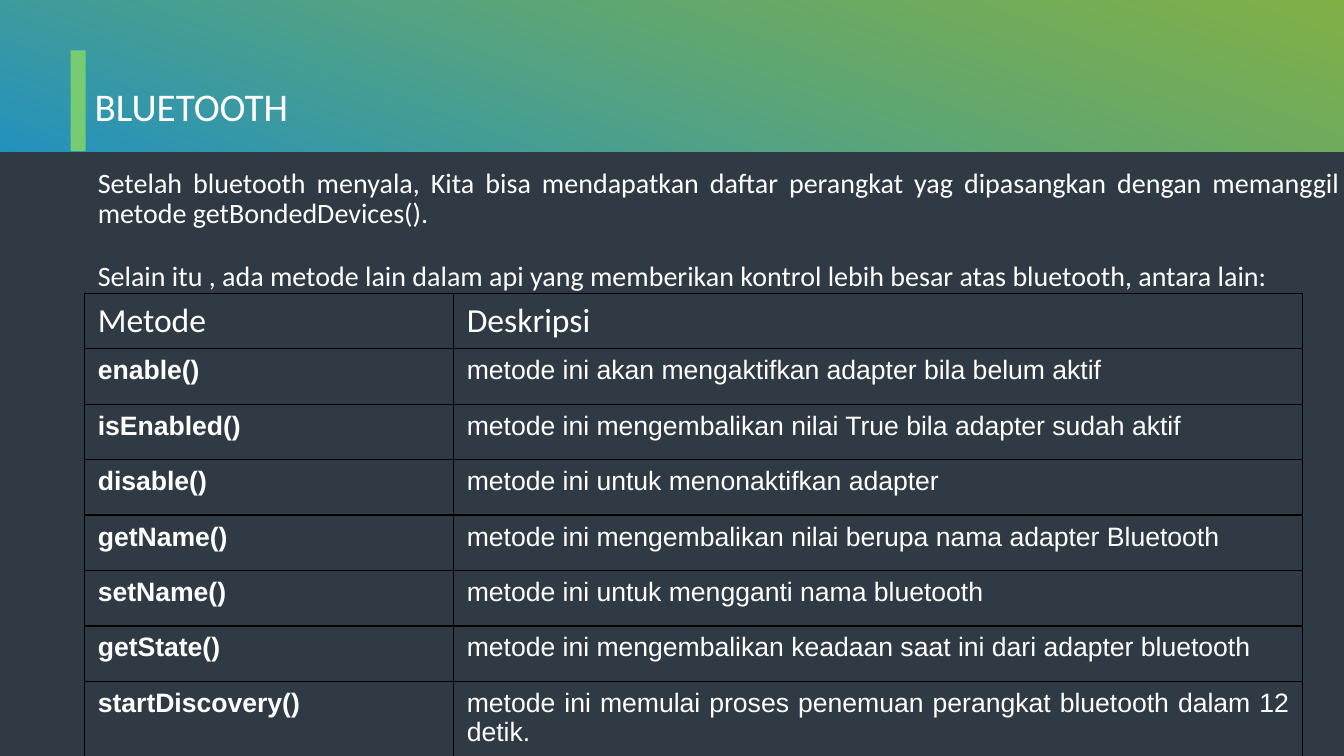
from dataclasses import dataclass

from pptx import Presentation
from pptx.dml.color import RGBColor
from pptx.enum.shapes import MSO_SHAPE
from pptx.enum.text import PP_ALIGN
from pptx.oxml import parse_xml
from pptx.oxml.ns import nsdecls, qn
from pptx.shapes.autoshape import Shape
from pptx.slide import Slide
from pptx.table import _Cell
from pptx.text.text import _Paragraph
from pptx.util import Inches, Pt

WHITE = RGBColor(0xFF, 0xFF, 0xFF)
SLATE = RGBColor(0x30, 0x3A, 0x44)
LIME = RGBColor(0xA5, 0xE4, 0x49)
BLUE = RGBColor(0x23, 0x9D, 0xCE)
GREEN = RGBColor(0x77, 0xCC, 0x71)
BLACK = RGBColor(0, 0, 0)


@dataclass(frozen=True)
class Area:
    left: float
    top: float
    width: float
    height: float

    def lengths(self) -> list[Inches]:
        return [Inches(value) for value in (self.left, self.top, self.width, self.height)]


@dataclass(frozen=True)
class TextStyle:
    size: float
    font: str = "Calibri"
    bold: bool = False
    align: PP_ALIGN = PP_ALIGN.LEFT


@dataclass(frozen=True)
class Method:
    name: str
    description: str


TITLE_STYLE = TextStyle(28)
BODY_STYLE = TextStyle(20, align=PP_ALIGN.JUSTIFY)
HEADING_STYLE = TextStyle(24)
NAME_STYLE = TextStyle(19, "Arial", bold=True)
DESCRIPTION_STYLE = TextStyle(19, "Arial", align=PP_ALIGN.JUSTIFY)

INTRODUCTION = [
    "Setelah bluetooth menyala, Kita bisa mendapatkan daftar perangkat yag "
    "dipasangkan dengan memanggil metode getBondedDevices().",
    "Selain itu , ada metode lain dalam api yang memberikan kontrol lebih besar "
    "atas bluetooth, antara lain:",
]
HEADING = Method("Metode", "Deskripsi")
METHODS = [
    Method("enable()", "metode ini akan mengaktifkan adapter bila belum aktif"),
    Method("isEnabled()", "metode ini mengembalikan nilai True bila adapter sudah aktif"),
    Method("disable()", "metode ini untuk menonaktifkan adapter"),
    Method("getName()", "metode ini mengembalikan nilai berupa nama adapter Bluetooth"),
    Method("setName()", "metode ini untuk mengganti nama bluetooth"),
    Method("getState()", "metode ini mengembalikan keadaan saat ini dari adapter bluetooth"),
    Method("startDiscovery()", "metode ini memulai proses penemuan perangkat bluetooth dalam 12 detik."),
]
COLUMN_WIDTHS = (3.66, 8.42)
ROW_HEIGHT = 0.55
LAST_ROW_HEIGHT = 0.76


def write(para: _Paragraph, text: str, style: TextStyle) -> None:
    para.text = text
    para.alignment = style.align
    para.font.name = style.font
    para.font.size = Pt(style.size)
    para.font.bold = style.bold
    para.font.color.rgb = WHITE


def add_rectangle(page: Slide, area: Area) -> Shape:
    rectangle = page.shapes.add_shape(MSO_SHAPE.RECTANGLE, *area.lengths())
    rectangle.shadow.inherit = False
    rectangle.line.fill.background()
    return rectangle


def add_header(page: Slide) -> None:
    band = add_rectangle(page, Area(5.91, -5.92, 1.5, 13.35))
    band.rotation = 270
    band.fill.gradient()
    band.fill.gradient_angle = 160
    for stop, color, opacity in zip(band.fill.gradient_stops, (LIME, BLUE), (70, 90)):
        stop.color.rgb = color
    for color_element, opacity in zip(band._element.spPr.iter(qn("a:srgbClr")), (70, 90)):
        color_element.append(parse_xml(f'<a:alpha {nsdecls("a")} val="{opacity * 1000}"/>'))
    accent = add_rectangle(page, Area(0.7, 0.5, 0.15, 1))
    accent.fill.solid()
    accent.fill.fore_color.rgb = GREEN


def add_text(page: Slide, area: Area, texts: list[str], style: TextStyle, inset: float | None = None) -> None:
    box = page.shapes.add_textbox(*area.lengths())
    frame = box.text_frame
    frame.word_wrap = True
    if inset is not None:
        frame.margin_left = frame.margin_right = Inches(inset)
        frame.margin_top = frame.margin_bottom = Inches(inset)
    for index, text in enumerate(texts):
        para = frame.add_paragraph() if index else frame.paragraphs[0]
        write(para, text, style)
        para.line_spacing = 0.9
        if index:
            para.space_before = Pt(10)
        if index < len(texts) - 1:
            para.space_after = Pt(13.3)


def fill_cell(cell: _Cell, text: str, style: TextStyle) -> None:
    cell.margin_left = cell.margin_right = Inches(0.13)
    cell.margin_top = cell.margin_bottom = Inches(0.07)
    write(cell.text_frame.paragraphs[0], text, style)
    properties = cell._tc.get_or_add_tcPr()
    for side in ("lnL", "lnR", "lnT", "lnB"):
        properties.append(parse_xml(
            f'<a:{side} {nsdecls("a")} w="{Pt(1)}"><a:solidFill>'
            f'<a:srgbClr val="{BLACK}"/></a:solidFill></a:{side}>'
        ))
    cell.fill.background()


def add_method_table(page: Slide) -> None:
    row_heights = [ROW_HEIGHT] * len(METHODS) + [LAST_ROW_HEIGHT]
    area = Area(0.84, 2.91, sum(COLUMN_WIDTHS), sum(row_heights))
    table = page.shapes.add_table(len(row_heights), len(COLUMN_WIDTHS), *area.lengths()).table
    table.first_row = False
    table.horz_banding = False
    for column, width in zip(table.columns, COLUMN_WIDTHS):
        column.width = Inches(width)
    for row, height, method in zip(table.rows, row_heights, [HEADING, *METHODS]):
        row.height = Inches(height)
        is_heading = method is HEADING
        fill_cell(row.cells[0], method.name, HEADING_STYLE if is_heading else NAME_STYLE)
        fill_cell(row.cells[1], method.description, HEADING_STYLE if is_heading else DESCRIPTION_STYLE)


def main() -> None:
    deck = Presentation()
    deck.slide_width = Inches(13.33)
    deck.slide_height = Inches(7.5)
    page = deck.slides.add_slide(deck.slide_layouts[6])
    page.background.fill.solid()
    page.background.fill.fore_color.rgb = SLATE
    add_header(page)
    add_text(page, Area(0.84, 0.82, 9.77, 1), ["BLUETOOTH"], TITLE_STYLE)
    add_text(page, Area(0.84, 1.55, 12.58, 1.43), INTRODUCTION, BODY_STYLE, inset=0.13)
    add_method_table(page)
    deck.save("out.pptx")


if __name__ == "__main__":
    main()
